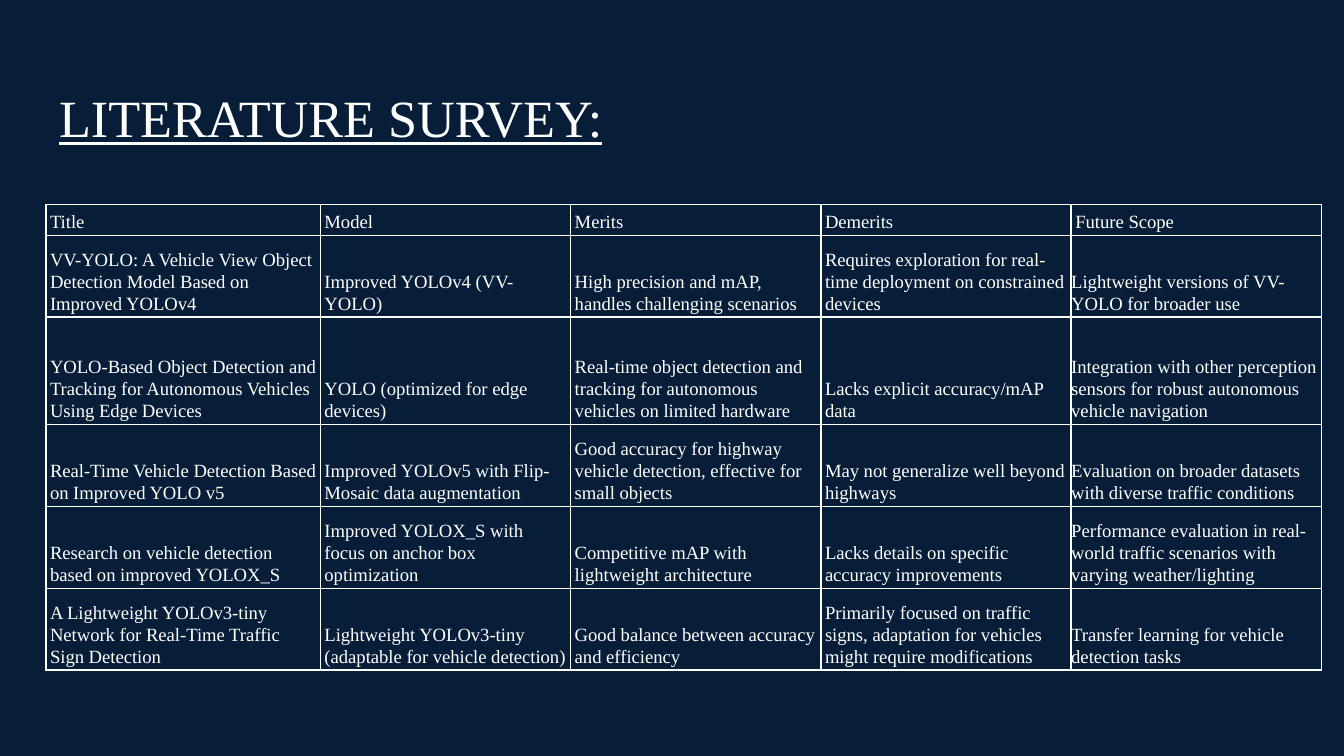
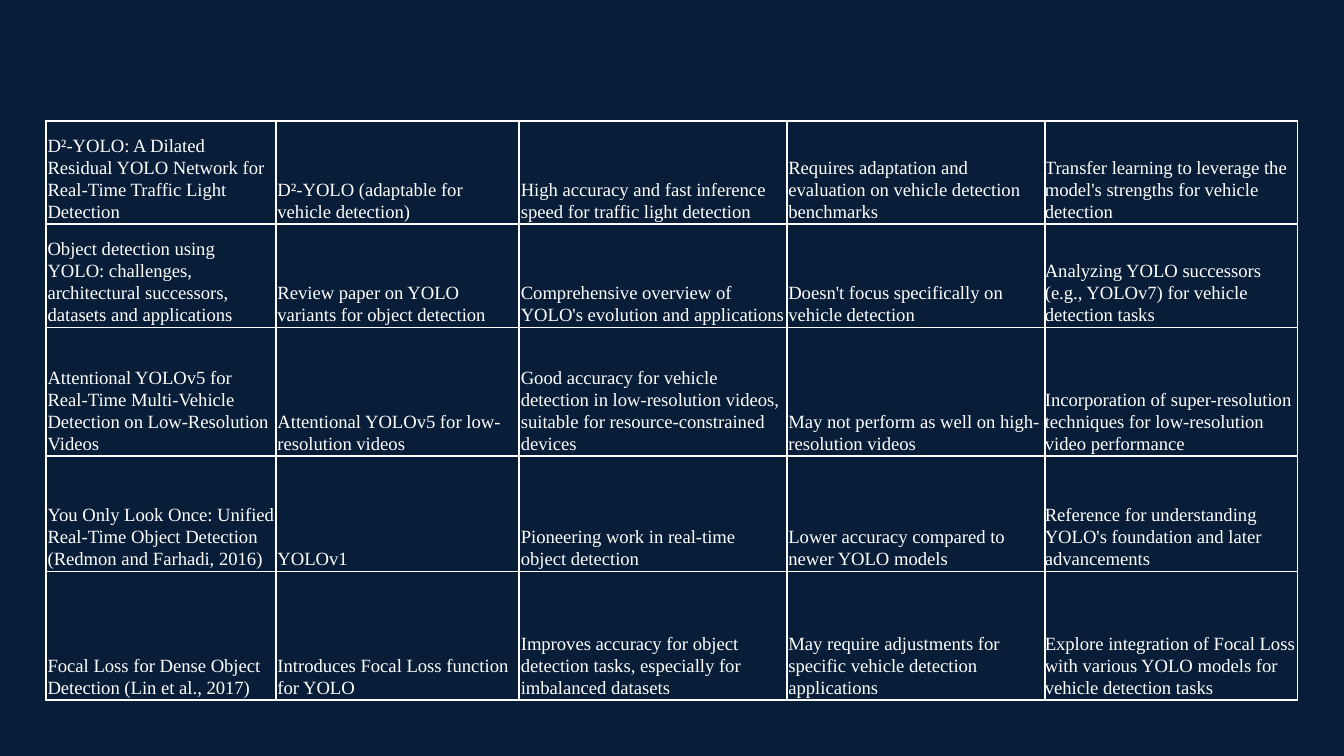
from dataclasses import dataclass

from lxml import etree
from pptx import Presentation
from pptx.dml.color import RGBColor
from pptx.enum.text import MSO_ANCHOR
from pptx.oxml.ns import qn
from pptx.util import Pt

TOP = MSO_ANCHOR.TOP
BOTTOM = MSO_ANCHOR.BOTTOM
BLANK_LAYOUT = 6


@dataclass(frozen=True)
class Theme:
    background: str = "081D37"
    ink: str = "FFFFFF"
    font: str = "Times New Roman"
    title_size: float = 28
    cell_size: float = 10
    title_spacing: float = 1.1
    cell_spacing: float = 1.07
    border: float = 1


@dataclass(frozen=True)
class Box:
    left: float
    top: float
    width: float
    height: float


@dataclass(frozen=True)
class Grid:
    columns: tuple
    rows: tuple
    side_margin: float
    end_margin: float
    header: bool


THEME = Theme()
TITLE_BOX = Box(24.6, 35.3, 671, 45.4)
SURVEY_BOX = Box(24.6, 109.6, 683.4, 249.6)
CONTINUED_BOX = Box(24.6, 64.8, 670.6, 310.4)

SURVEY_GRID = Grid((2.04,) + (1.86,) * 4, (0.23, 0.61, 0.8, 0.61, 0.61, 0.61), 2.2, 1.5, True)
CONTINUED_GRID = Grid((1.71, 1.81, 1.99, 1.92, 1.88), (0.77, 0.77, 0.96, 0.86, 0.96), 0.9, 0.9, False)

SURVEY_ROWS = [
    ("Title", "Model", "Merits", "Demerits", "Future Scope"),
    (
        "VV-YOLO: A Vehicle View Object Detection Model Based on Improved YOLOv4",
        "Improved YOLOv4 (VV-YOLO)",
        "High precision and mAP, handles challenging scenarios",
        "Requires exploration for real-time deployment on constrained devices",
        "Lightweight versions of VV-YOLO for broader use",
    ),
    (
        "YOLO-Based Object Detection and Tracking for Autonomous Vehicles Using Edge Devices",
        "YOLO (optimized for edge devices)",
        "Real-time object detection and tracking for autonomous vehicles on limited hardware",
        "Lacks explicit accuracy/mAP data",
        "Integration with other perception sensors for robust autonomous vehicle navigation",
    ),
    (
        "Real-Time Vehicle Detection Based on Improved YOLO v5",
        "Improved YOLOv5 with Flip-Mosaic data augmentation",
        "Good accuracy for highway vehicle detection, effective for small objects",
        "May not generalize well beyond highways",
        "Evaluation on broader datasets with diverse traffic conditions",
    ),
    (
        "Research on vehicle detection based on improved YOLOX_S",
        "Improved YOLOX_S with focus on anchor box optimization",
        "Competitive mAP with lightweight architecture",
        "Lacks details on specific accuracy improvements",
        "Performance evaluation in real-world traffic scenarios with varying weather/lighting",
    ),
    (
        "A Lightweight YOLOv3-tiny Network for Real-Time Traffic Sign Detection",
        "Lightweight YOLOv3-tiny (adaptable for vehicle detection)",
        "Good balance between accuracy and efficiency",
        "Primarily focused on traffic signs, adaptation for vehicles might require modifications",
        "Transfer learning for vehicle detection tasks",
    ),
]

CONTINUED_ROWS = [
    (
        "D²-YOLO: A Dilated Residual YOLO Network for Real-Time Traffic Light Detection",
        "D²-YOLO (adaptable for vehicle detection)",
        "High accuracy and fast inference speed for traffic light detection",
        "Requires adaptation and evaluation on vehicle detection benchmarks",
        "Transfer learning to leverage the model's strengths for vehicle detection",
    ),
    (
        "Object detection using YOLO: challenges, architectural successors, datasets and applications",
        "Review paper on YOLO variants for object detection",
        "Comprehensive overview of YOLO's evolution and applications",
        "Doesn't focus specifically on vehicle detection",
        "Analyzing YOLO successors (e.g., YOLOv7) for vehicle detection tasks",
    ),
    (
        "Attentional YOLOv5 for Real-Time Multi-Vehicle Detection on Low-Resolution Videos",
        "Attentional YOLOv5 for low-resolution videos",
        "Good accuracy for vehicle detection in low-resolution videos, suitable for resource-constrained devices",
        "May not perform as well on high-resolution videos",
        "Incorporation of super-resolution techniques for low-resolution video performance",
    ),
    (
        "You Only Look Once: Unified Real-Time Object Detection (Redmon and Farhadi, 2016)",
        "YOLOv1",
        "Pioneering work in real-time object detection",
        "Lower accuracy compared to newer YOLO models",
        "Reference for understanding YOLO's foundation and later advancements",
    ),
    (
        "Focal Loss for Dense Object Detection (Lin et al., 2017)",
        "Introduces Focal Loss function for YOLO",
        "Improves accuracy for object detection tasks, especially for imbalanced datasets",
        "May require adjustments for specific vehicle detection applications",
        "Explore integration of Focal Loss with various YOLO models for vehicle detection tasks",
    ),
]


def add_page(deck):
    page = deck.slides.add_slide(deck.slide_layouts[BLANK_LAYOUT])
    fill = page.background.fill
    fill.solid()
    fill.fore_color.rgb = RGBColor.from_string(THEME.background)
    return page


def write(frame, text, size, spacing, underline=None):
    paragraph = frame.paragraphs[0]
    paragraph.text = text
    paragraph.line_spacing = spacing
    font = paragraph.font
    font.name = THEME.font
    font.size = Pt(size)
    font.underline = underline
    font.color.rgb = RGBColor.from_string(THEME.ink)


def add_title(page, box, text):
    title = page.shapes.add_textbox(Pt(box.left), Pt(box.top), Pt(box.width), Pt(box.height))
    frame = title.text_frame
    frame.word_wrap = True
    frame.vertical_anchor = TOP
    frame.margin_left = frame.margin_right = Pt(7.2)
    frame.margin_top = frame.margin_bottom = Pt(7.2)
    write(frame, text, THEME.title_size, THEME.title_spacing, underline=True)


def add_borders(cell):
    properties = cell._tc.get_or_add_tcPr()
    for side in ("a:lnL", "a:lnR", "a:lnT", "a:lnB"):
        line = etree.SubElement(properties, qn(side), w=str(Pt(THEME.border)))
        fill = etree.SubElement(line, qn("a:solidFill"))
        etree.SubElement(fill, qn("a:srgbClr"), val=THEME.ink)


def add_cell(cell, text, side_margin, end_margin):
    cell.vertical_anchor = BOTTOM
    cell.margin_left = cell.margin_right = Pt(side_margin)
    cell.margin_top = cell.margin_bottom = Pt(end_margin)
    add_borders(cell)
    cell.fill.background()
    write(cell.text_frame, text, THEME.cell_size, THEME.cell_spacing)


def share(length, weights):
    return [Pt(length * weight / sum(weights)) for weight in weights]


def add_survey_table(page, box, grid, rows):
    frame = page.shapes.add_table(
        len(grid.rows), len(grid.columns),
        Pt(box.left), Pt(box.top), Pt(box.width), Pt(box.height),
    )
    table = frame.table
    table.first_row = False
    table.horz_banding = False
    for column, width in zip(table.columns, share(box.width, grid.columns)):
        column.width = width
    for row, height in zip(table.rows, share(box.height, grid.rows)):
        row.height = height
    last_column = len(grid.columns) - 1
    for row_index, texts in enumerate(rows):
        is_header = grid.header and row_index == 0
        for column_index, text in enumerate(texts):
            is_flush = column_index == last_column and not is_header
            side_margin = 0 if is_flush else grid.side_margin
            add_cell(table.cell(row_index, column_index), text, side_margin, grid.end_margin)


def main():
    deck = Presentation()
    deck.slide_width = Pt(720)
    deck.slide_height = Pt(405)

    survey_page = add_page(deck)
    add_title(survey_page, TITLE_BOX, "LITERATURE SURVEY:")
    add_survey_table(survey_page, SURVEY_BOX, SURVEY_GRID, SURVEY_ROWS)

    continued_page = add_page(deck)
    add_survey_table(continued_page, CONTINUED_BOX, CONTINUED_GRID, CONTINUED_ROWS)

    deck.save("out.pptx")


if __name__ == "__main__":
    main()
